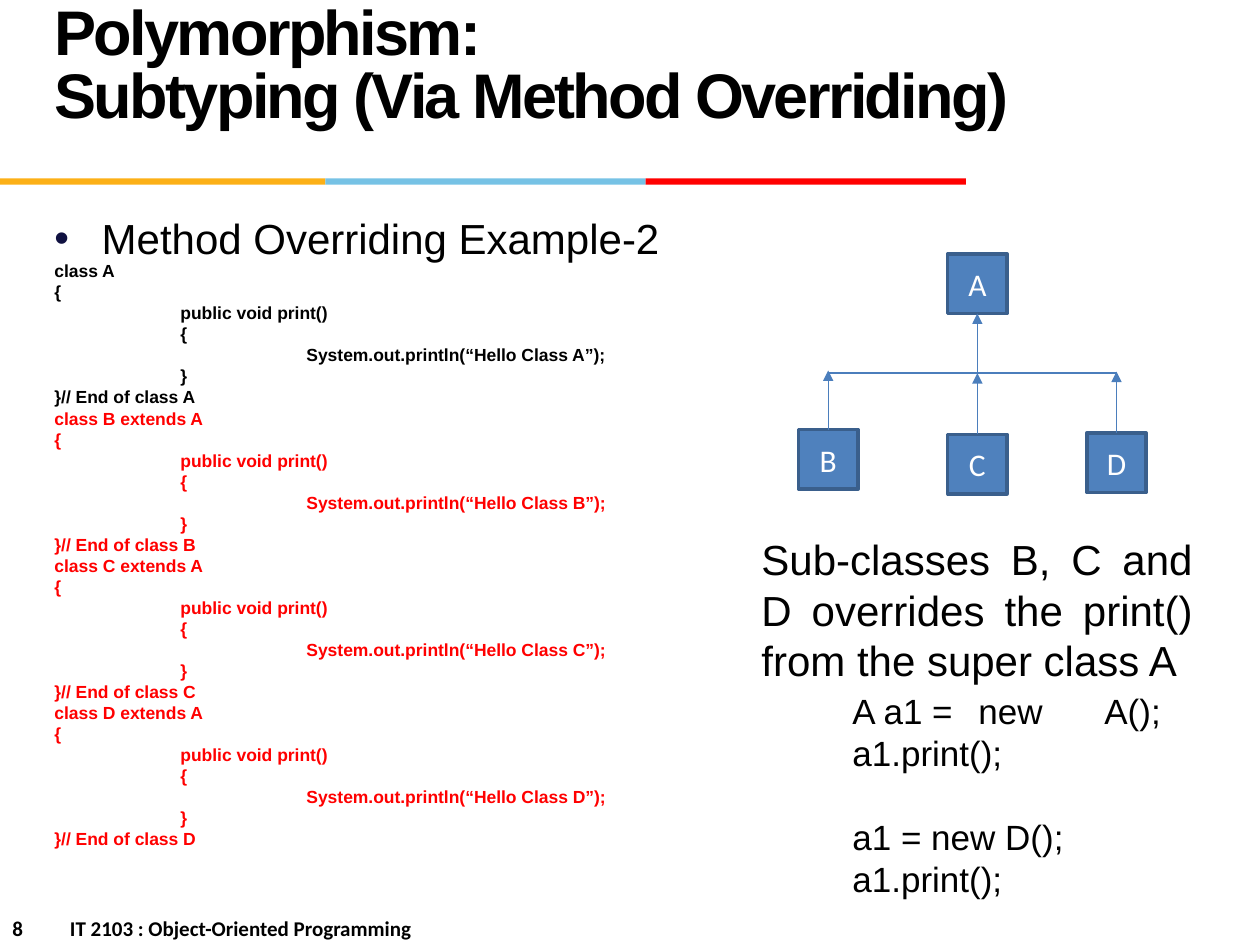
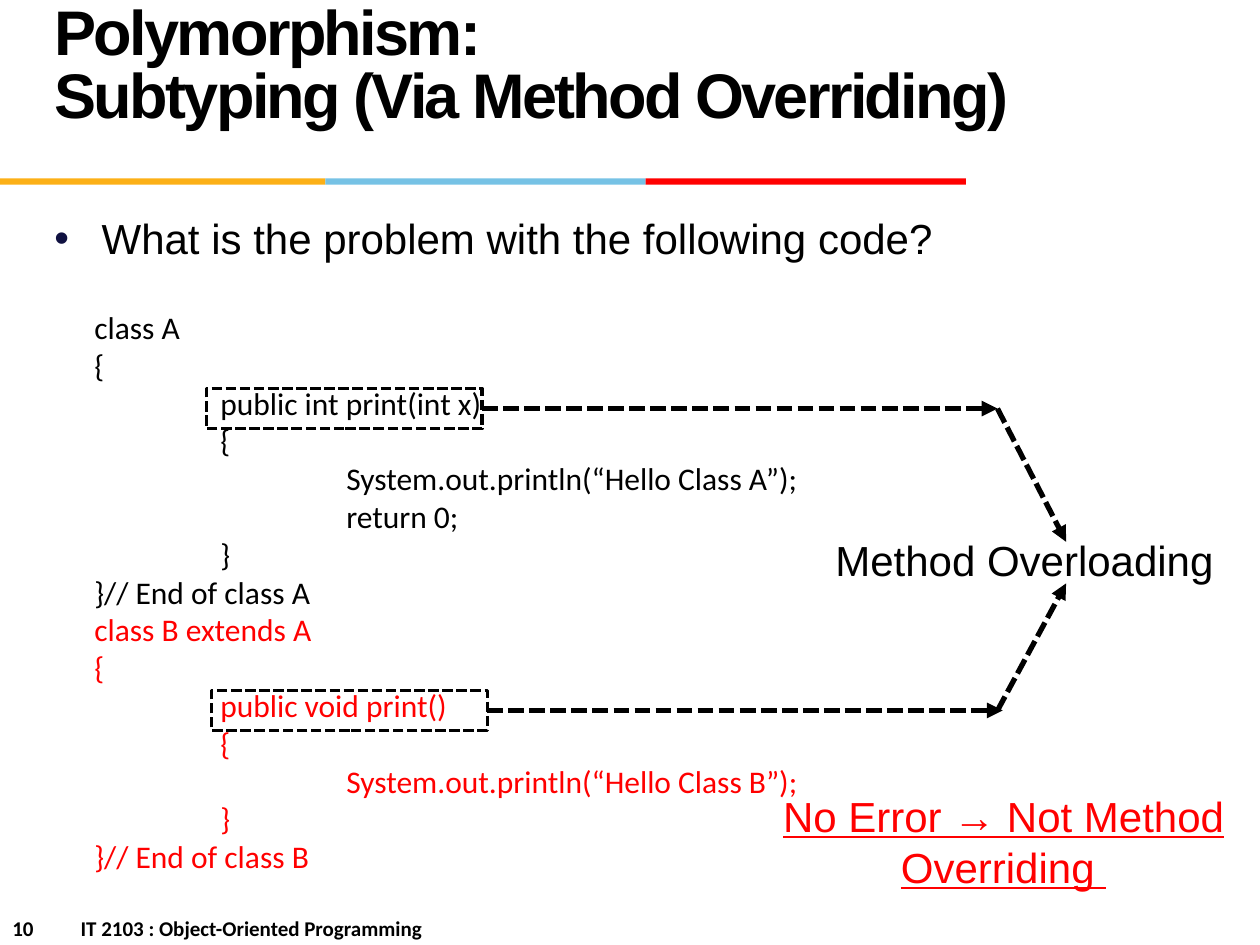
from lxml.etree import SubElement
from pptx import Presentation
from pptx.dml.color import RGBColor
from pptx.enum.dml import MSO_LINE
from pptx.enum.shapes import MSO_CONNECTOR, MSO_SHAPE
from pptx.enum.text import MSO_ANCHOR, PP_ALIGN
from pptx.oxml.ns import qn
from pptx.util import Pt

BLACK = RGBColor(0x00, 0x00, 0x00)
WHITE = RGBColor(0xFF, 0xFF, 0xFF)
RED = RGBColor(0xFF, 0x00, 0x00)
AMBER = RGBColor(0xFC, 0xB0, 0x17)
SKY = RGBColor(0x76, 0xC2, 0xE5)
NODE_FILL = RGBColor(0x4F, 0x81, 0xBD)
NODE_EDGE = RGBColor(0x3A, 0x5F, 0x8C)
TREE_LINE = RGBColor(0x4B, 0x7E, 0xBC)
BULLET = "101141"

TITLE = ("Polymorphism:", "Subtyping (Via Method Overriding)")
COURSE = "IT 2103 : Object-Oriented Programming"
BANDS = ((0, 186, AMBER), (186, 183, SKY), (369, 183, RED))
CODE_TABS = (72, 144)
NODE_SIZE = 34
TOP, BOTTOM, RIGHT = 0, 2, 3  # connection sites of a rectangle


# Text
def set_tabs(paragraph, stops):
    tabs = SubElement(paragraph._p.get_or_add_pPr(), qn("a:tabLst"))
    for stop in stops:
        SubElement(tabs, qn("a:tab"), pos=str(Pt(stop)), algn="l")


def set_bullet(paragraph):
    properties = paragraph._p.get_or_add_pPr()
    properties.set("marL", str(Pt(27)))
    properties.set("indent", str(Pt(-27)))
    SubElement(SubElement(properties, qn("a:buClr")), qn("a:srgbClr"), val=BULLET)
    SubElement(properties, qn("a:buFont"), typeface="Arial")
    SubElement(properties, qn("a:buChar"), char="•")


def add_text(slide, left, top, width, height, lines, size, font="Arial", color=BLACK,
             bold=False, align=PP_ALIGN.LEFT, wrap=True, tabs=(), bullet=False):
    """Text box with one paragraph a line; a line may be a (text, colour) pair."""
    frame = slide.shapes.add_textbox(Pt(left), Pt(top), Pt(width), Pt(height)).text_frame
    frame.word_wrap = wrap
    for index, line in enumerate(lines):
        text, line_color = line if isinstance(line, tuple) else (line, color)
        paragraph = frame.paragraphs[0] if index == 0 else frame.add_paragraph()
        if bullet:
            set_bullet(paragraph)
        if tabs:
            set_tabs(paragraph, tabs)
        paragraph.text = text
        paragraph.alignment = align
        paragraph.font.name = font
        paragraph.font.size = Pt(size)
        paragraph.font.bold = bold
        paragraph.font.color.rgb = line_color
    return frame


def class_code(name, color, parent="", signature="public void print()", result=""):
    """Source lines of a class with one print method."""
    lines = [
        f"class {name}" + (f" extends {parent}" if parent else ""),
        "{",
        f"\t{signature}",
        "\t{",
        f"\t\tSystem.out.println(“Hello Class {name}”);",
        *([f"\t\t{result}"] if result else []),
        "\t}",
        f"}}// End of class {name}",
    ]
    return [(line, color) for line in lines]


# Shapes and lines
def add_box(slide, left, top, width, height, fill=None, edge=None):
    box = slide.shapes.add_shape(MSO_SHAPE.RECTANGLE, Pt(left), Pt(top), Pt(width), Pt(height))
    box.shadow.inherit = False
    if fill is None:
        box.fill.background()
    else:
        box.fill.solid()
        box.fill.fore_color.rgb = fill
    if edge is None:
        box.line.fill.background()
    else:
        box.line.color.rgb = edge
        box.line.width = Pt(2)
    return box


def add_class_node(slide, name, left, top):
    node = add_box(slide, left, top, NODE_SIZE, NODE_SIZE, NODE_FILL, NODE_EDGE)
    frame = node.text_frame
    frame.vertical_anchor = MSO_ANCHOR.MIDDLE
    label = frame.paragraphs[0]
    label.text = name
    label.alignment = PP_ALIGN.CENTER
    label.font.name = "Calibri"
    label.font.size = Pt(18)
    label.font.color.rgb = WHITE
    return node


def add_line(slide, start, end, color, width, arrow=True, dashed=False):
    """Straight line between two (x, y) points."""
    line = slide.shapes.add_connector(MSO_CONNECTOR.STRAIGHT, *map(Pt, start + end))
    line.line.color.rgb = color
    line.line.width = Pt(width)
    if dashed:
        line.line.dash_style = MSO_LINE.SQUARE_DOT
    properties = line._element.spPr
    if arrow:
        SubElement(properties.find(qn("a:ln")), qn("a:tailEnd"), type="triangle")
    SubElement(properties, qn("a:effectLst"))
    return line


# Parts shared by the slides
def add_title(slide):
    frame = add_text(slide, 24, 3, 660, 72, TITLE, 36, bold=True)
    frame.margin_top = frame.margin_bottom = 0
    for paragraph in frame.paragraphs:
        paragraph.line_spacing = Pt(36)
        for run in paragraph.runs:
            run._r.get_or_add_rPr().set("spc", "-150")


def add_footer(slide, number):
    course_start = 26.8 + 6.1 * len(str(number))
    add_text(slide, 0, 519.4, 360, 21.6, [f"{number}\t{COURSE}"], 12, font="Calibri",
             bold=True, tabs=[course_start])


def add_lesson_slide(deck, number, topic):
    slide = deck.slides.add_slide(deck.slide_layouts[6])
    for left, width, color in BANDS:
        add_box(slide, left, 102, width, 3.6, color)
    add_footer(slide, number)
    add_text(slide, 24, 118, 648, 40, [topic], 24, align=PP_ALIGN.JUSTIFY, bullet=True)
    add_title(slide)
    return slide


# Class tree: A above its sub-classes B, C and D
def add_class_tree(slide):
    rail_y = 213.2
    parent = add_class_node(slide, "A", 541.5, 145.2)
    parent_x = 541.5 + NODE_SIZE / 2
    trunk = add_line(slide, (parent_x, rail_y), (parent_x, 179.2), TREE_LINE, 0.75)
    trunk.end_connect(parent, BOTTOM)
    add_line(slide, (473.3, rail_y), (638, rail_y), TREE_LINE, 0.75, arrow=False)
    for name, left, top, tip_y in (("B", 456.3, 245.5, 211.7),
                                   ("C", 541.5, 248.2, 213.2),
                                   ("D", 621, 247.4, 212.4)):
        child = add_class_node(slide, name, left, top)
        child_x = left + NODE_SIZE / 2
        branch = add_line(slide, (child_x, top), (child_x, tip_y), TREE_LINE, 0.75)
        branch.begin_connect(child, TOP)


# Dashed frame round a signature, with arrows leading to the verdict
def add_signature_callout(slide, left, top, tip_x, verdict_y):
    width, height = 157.5, 23
    middle = top + height / 2
    signature = add_box(slide, left, top, width, height, edge=BLACK)
    signature.line.dash_style = MSO_LINE.SQUARE_DOT
    arrow = add_line(slide, (left + width, middle), (tip_x, middle), BLACK, 3, dashed=True)
    arrow.begin_connect(signature, RIGHT)
    add_line(slide, (570, middle), (609.2, verdict_y), BLACK, 3, dashed=True)


def build_example_slide(deck):
    slide = add_lesson_slide(deck, 8, "Method Overriding Example-2")
    code = class_code("A", BLACK)
    for name in "BCD":
        code += class_code(name, RED, parent="A")
    add_text(slide, 24, 145.2, 342, 383, code, 10, bold=True, tabs=CODE_TABS)
    add_text(slide, 428, 301.5, 260.6, 94,
             ["Sub-classes B, C and D overrides the print() from the super class A"],
             24, align=PP_ALIGN.JUSTIFY)
    add_class_tree(slide)
    usage = add_text(slide, 480, 390.2, 192, 128,
                     ["A a1 =\tnew\tA();", "a1.print();", "a1 = new D();", "a1.print();"],
                     20, wrap=False, tabs=CODE_TABS)
    usage.paragraphs[2].space_before = Pt(24)


def build_problem_slide(deck):
    slide = add_lesson_slide(deck, 10, "What is the problem with the following code?")
    code = class_code("A", BLACK, signature="public int print(int x)", result="return 0;")
    code += class_code("B", RED, parent="A")
    add_text(slide, 46.8, 172.5, 432.7, 334, code, 18, font="Calibri", tabs=CODE_TABS)
    add_signature_callout(slide, 118, 222, 570, 309.6)
    add_signature_callout(slide, 121, 394.5, 573, 333.4)
    add_text(slide, 459.4, 301.7, 252, 36, ["Method Overloading"], 24, align=PP_ALIGN.CENTER)
    outcome = add_text(slide, 428, 448.3, 291, 65.5, ["No Error → Not Method Overriding "],
                       24, color=RED, align=PP_ALIGN.CENTER)
    outcome.paragraphs[0].font.underline = True


def main():
    deck = Presentation()
    deck.slide_width, deck.slide_height = Pt(720), Pt(540)
    build_example_slide(deck)
    build_problem_slide(deck)
    deck.save("out.pptx")


if __name__ == "__main__":
    main()
